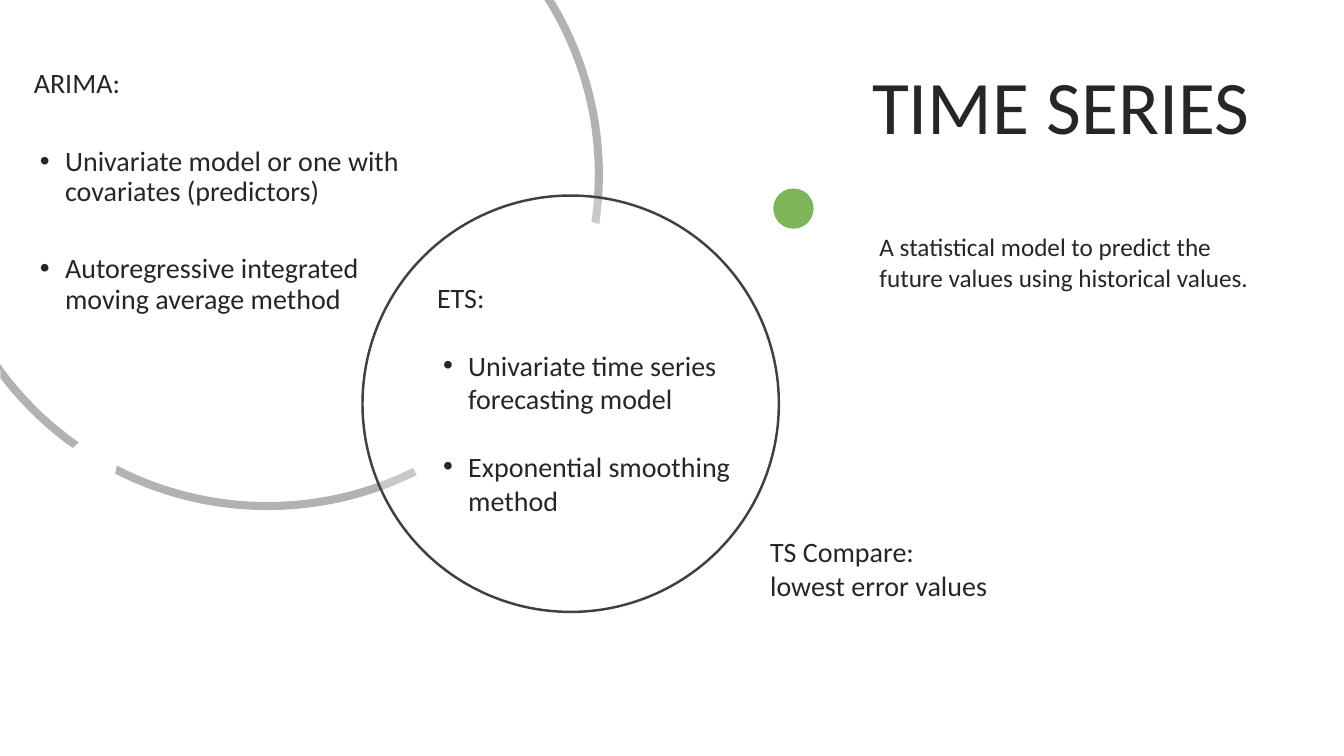
from math import cos, radians, sin, tan

from lxml import etree
from pptx import Presentation
from pptx.dml.color import RGBColor
from pptx.enum.shapes import MSO_SHAPE
from pptx.enum.text import MSO_ANCHOR
from pptx.oxml.ns import qn
from pptx.util import Inches, Pt

OVAL = MSO_SHAPE.OVAL
TOP, BOTTOM = MSO_ANCHOR.TOP, MSO_ANCHOR.BOTTOM
COLORS = {"text": "262626", "ring": "808080", "dot": "70AD47",
          "white": "FFFFFF", "outline": "404040"}

deck = Presentation()
deck.slide_width, deck.slide_height = Inches(13.33), Inches(7.5)
WIDTH, HEIGHT = deck.slide_width, deck.slide_height
page = deck.slides.add_slide(deck.slide_layouts[6])


def place(percents):
    sides = (WIDTH, HEIGHT, WIDTH, HEIGHT)
    return [round(side * share / 100) for side, share in zip(sides, percents)]


def paint(shape, fill, opacity, line, line_width):
    shape.shadow.inherit = False
    shape.fill.solid()
    shape.fill.fore_color.rgb = RGBColor.from_string(COLORS[fill])
    if opacity < 100:
        color = shape.fill._xPr.find(qn("a:solidFill"))[0]
        etree.SubElement(color, qn("a:alpha"), val=str(opacity * 1000))
    if line:
        shape.line.color.rgb = RGBColor.from_string(COLORS[line])
        shape.line.width = Pt(line_width)
    else:
        shape.line.fill.background()


center_x, center_y = place((19.88, 23.07))
outer_radius, inner_radius = place((24.98, 43.33))
ring_pieces = [
    ((-31.3, 0, 90, 116.9), (117.3, 90, 0, -32.2)),
    ((125.4, 142.6), (144.6, 125.1)),
]
builder = None
for piece in ring_pieces:
    points = []
    for angles, radius in zip(piece, (outer_radius, inner_radius)):
        polar = [(radius, radians(angles[0]), 0)]
        for start, end in zip(angles, angles[1:]):
            start, end = radians(start), radians(end)
            pull = 4 / 3 * tan((end - start) / 4)
            polar += [(radius, start, pull), (radius, end, -pull), (radius, end, 0)]
        for reach, angle, pull in polar:
            x = center_x + reach * (cos(angle) - pull * sin(angle))
            y = center_y + reach * (sin(angle) + pull * cos(angle))
            points.append((max(0, round(x)), max(0, round(y))))
    if builder is None:
        builder = page.shapes.build_freeform(*points[0])
    else:
        builder.move_to(*points[0])
    builder.add_line_segments(points[1:], close=True)
ring = builder.convert_to_shape()
paint(ring, "ring", 60, None, 0)

outline = ring._element.find(".//" + qn("a:path"))
segments = outline.findall(qn("a:lnTo"))
for piece in ring_pieces:
    for angles in piece:
        for arc in angles[1:]:
            curve = etree.Element(qn("a:cubicBezTo"))
            segments[0].addprevious(curve)
            for segment in segments[:3]:
                curve.append(segment[0])
                outline.remove(segment)
            segments = segments[3:]
        if angles is piece[0]:
            segments = segments[1:]

ovals = [
    ((57.54, 24.93, 3, 5.33), 0, "dot", 90, None, 0),
    ((26.97, 25.87, 30.98, 55.07), 0, "white", 30, "outline", 1.75),
    ((30.23, 28.13, 19.95, 42.93), 31.3, "white", 100, "white", 1),
]
for percents, rotation, *look in ovals:
    oval = page.shapes.add_shape(OVAL, *place(percents))
    oval.rotation = rotation
    paint(oval, *look)

texts = [
    {"at": (64.15, -18.33, 40.89, 38.93), "size": 54,
     "frame": {"vertical_anchor": BOTTOM},
     "format": {"line_spacing": 0.9}, "lines": ["TIME SERIES"], "bullets": []},
    {"at": (1.78, 2.93, 36.53, 47.47), "size": 20,
     "frame": {"margin_top": Inches(0.47), "margin_right": Inches(0.9)},
     "format": {"line_spacing": 0.9}, "gap": 33.7, "lines": ["ARIMA:"],
     "bullets": ["Univariate model or one with covariates (predictors)",
                 "Autoregressive integrated moving average method"]},
    {"at": (64.7, 30, 29.11, 13.47), "size": 18, "frame": {}, "format": {},
     "lines": ["A statistical model to predict the future values using historical values."],
     "bullets": []},
    {"at": (56.56, 70.07, 27.53, 14.8), "size": 20, "frame": {}, "format": {},
     "lines": ["TS Compare:", "lowest error values"], "bullets": []},
    {"at": (31.78, 36.43, 26.41, 37.2), "size": 20, "frame": {},
     "format": {}, "gap": 24.4, "lines": ["ETS:"],
     "bullets": ["Univariate time series forecasting model",
                 "Exponential smoothing method"]},
]
for text in texts:
    frame = page.shapes.add_textbox(*place(text["at"])).text_frame
    for name, value in {"word_wrap": True, "vertical_anchor": TOP, **text["frame"]}.items():
        setattr(frame, name, value)
    for index, wording in enumerate(text["lines"] + text["bullets"]):
        para = frame.add_paragraph() if index else frame.paragraphs[0]
        para.text = wording
        for name, value in text["format"].items():
            setattr(para, name, value)
        if wording in text["bullets"]:
            para.space_before = Pt(text["gap"])
            properties = para._p.get_or_add_pPr()
            properties.set("marL", str(Inches(0.31)))
            properties.set("indent", str(Inches(-0.25)))
            etree.SubElement(properties, qn("a:buFont"), typeface="Arial")
            etree.SubElement(properties, qn("a:buChar"), char="•")
        for span in para.runs:
            span.font.color.rgb = RGBColor.from_string(COLORS["text"])
            for name, value in {"name": "Calibri", "size": Pt(text["size"])}.items():
                setattr(span.font, name, value)

deck.save("out.pptx")
